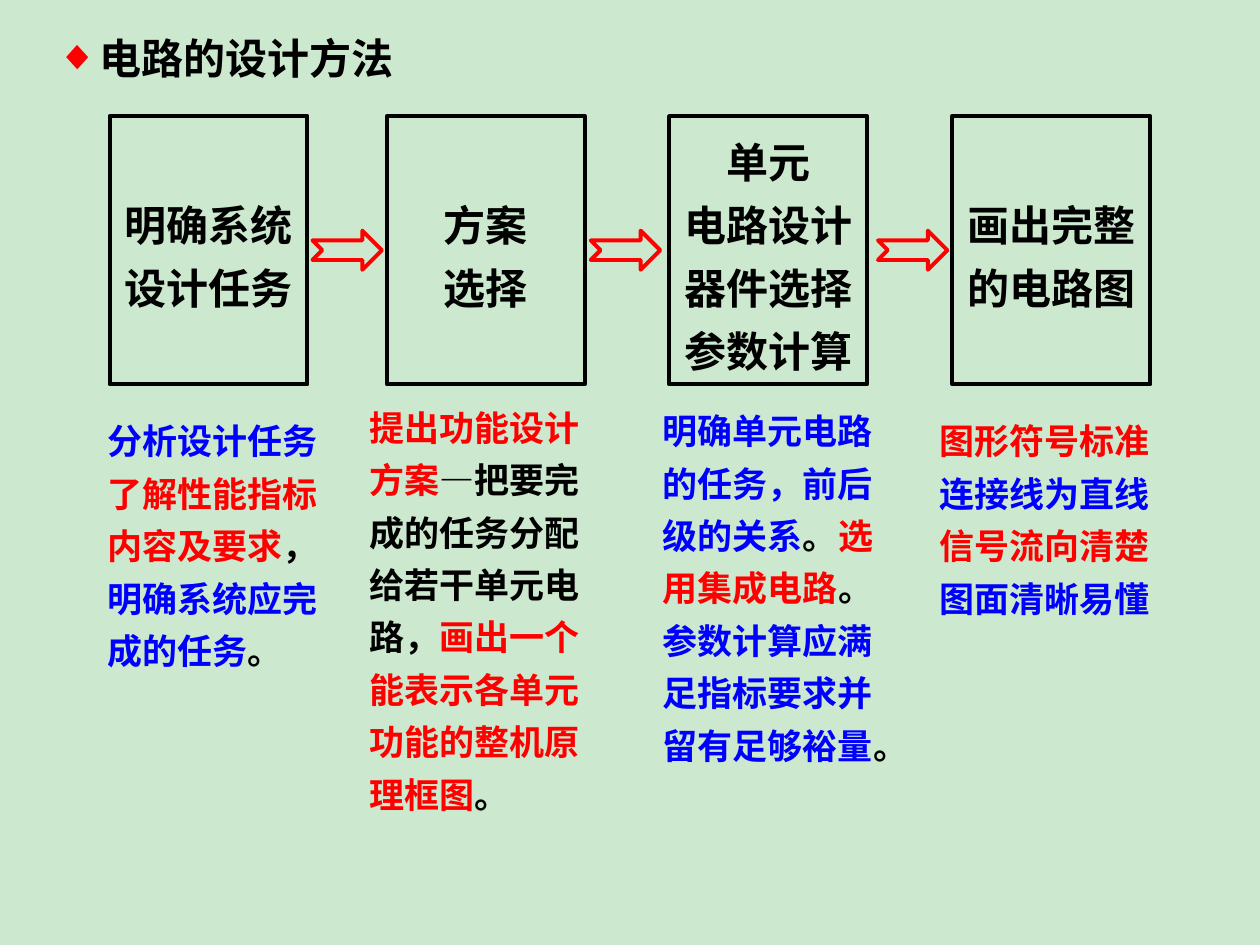
"""Build a slide showing the four steps of circuit design."""
from dataclasses import dataclass

from lxml import etree
from pptx import Presentation
from pptx.dml.color import RGBColor
from pptx.enum import shapes, text
from pptx.oxml import ns
from pptx.util import Cm, Pt

BACKGROUND = RGBColor(0xCC, 0xE8, 0xCE)
BLACK = RGBColor(0, 0, 0)
RED = RGBColor(0xFF, 0, 0)
BLUE = RGBColor(0, 0, 0xFF)
FONT = "Times New Roman"

STEP_TOP, STEP_WIDTH, STEP_HEIGHT = 2.34, 3.99, 5.41
ARROW_WIDTH, ARROW_HEIGHT = 1.4, 0.79
ARROW_TOP = STEP_TOP + (STEP_HEIGHT - ARROW_HEIGHT) / 2
ARROW_LEFTS = (6.3, 11.91, 17.7)

Run = tuple[str, RGBColor]


@dataclass
class Step:
    left: float
    lines: list[str]
    caption_left: float
    caption_top: float
    caption_width: float
    caption_height: float
    caption: list[list[Run]]


STEPS = [
    Step(2.21, ["明确系统设计任务"], 1.91, 8.13, 4.8, 5.59, [[
        ("分析设计任务", BLUE), ("了解性能指标内容及要求", RED), ("，", BLACK),
        ("明确系统应完成的任务", BLUE), ("。", BLACK)]]),
    Step(7.8, ["方案", "选择"], 7.19, 7.85, 5.1, 8.81, [[
        ("提出功能设计方案", RED), ("—把要完成的任务分配给若干单元电路，", BLACK),
        ("画出一个能表示各单元功能的整机原理框图", RED), ("。", BLACK)]]),
    Step(13.49, ["单元", "电路设计器件选择", "参数计算"], 13.11, 7.92, 4.8, 7.75, [[
        ("明确单元电路的任务，前后级的关系", BLUE), ("。", BLACK),
        ("选用集成电路", RED), ("。", BLACK),
        ("参数计算应满足指标要求并留有足够裕量", BLUE), ("。", BLACK)]]),
    Step(19.2, ["画出完整", "的电路图"], 18.69, 8.13, 5.0, 4.52, [
        [("图形符号标准", RED)], [("连接线为直线", BLUE)],
        [("信号流向清楚", RED)], [("图面清晰易懂", BLUE)]]),
]


def add_run(paragraph, words: str, size: float, color: RGBColor) -> None:
    """Append one bold run."""
    run = paragraph.add_run()
    run.text = words
    run.font.name = FONT
    run.font.size = Pt(size)
    run.font.bold = True
    run.font.color.rgb = color


def write(frame, paragraphs: list[list[Run]], size: float, alignment) -> None:
    """Fill a text frame with paragraphs of coloured runs."""
    frame.word_wrap = True
    for index, runs in enumerate(paragraphs):
        paragraph = frame.add_paragraph() if index else frame.paragraphs[0]
        paragraph.alignment = alignment
        paragraph.line_spacing = 1.25
        for words, color in runs:
            add_run(paragraph, words, size, color)


def add_outline(slide, kind, left: float, top: float, width: float,
                height: float, color: RGBColor):
    """Draw an unfilled preset shape."""
    shape = slide.shapes.add_shape(kind, Cm(left), Cm(top), Cm(width), Cm(height))
    shape.shadow.inherit = False
    shape.fill.background()
    shape.line.color.rgb = color
    shape.line.width = Pt(2.25)
    return shape


def add_step(slide, step: Step) -> None:
    """Draw a step's box and the caption below it."""
    box = add_outline(slide, shapes.MSO_SHAPE.RECTANGLE, step.left, STEP_TOP,
                      STEP_WIDTH, STEP_HEIGHT, BLACK)
    box.text_frame.vertical_anchor = text.MSO_ANCHOR.MIDDLE
    write(box.text_frame, [[(line, BLACK)] for line in step.lines], 24,
          text.PP_ALIGN.CENTER)
    caption = slide.shapes.add_textbox(
        Cm(step.caption_left), Cm(step.caption_top),
        Cm(step.caption_width), Cm(step.caption_height))
    write(caption.text_frame, step.caption, 20, text.PP_ALIGN.LEFT)


def set_title(slide, words: str) -> None:
    """Place the title with its red diamond bullet."""
    title = slide.shapes.title
    title.left, title.top, title.width, title.height = Cm(0.89), Cm(0.53), Cm(9), Cm(1.27)
    frame = title.text_frame
    frame.auto_size = text.MSO_AUTO_SIZE.NONE
    frame.vertical_anchor = text.MSO_ANCHOR.MIDDLE
    paragraph = frame.paragraphs[0]
    paragraph.alignment = text.PP_ALIGN.LEFT
    properties = paragraph._p.get_or_add_pPr()
    properties.set("marL", str(Cm(0.86)))
    properties.set("indent", str(-Cm(0.86)))
    bullet_color = etree.SubElement(properties, ns.qn("a:buClr"))
    etree.SubElement(bullet_color, ns.qn("a:srgbClr"), val=str(RED))
    etree.SubElement(properties, ns.qn("a:buFont"), typeface=FONT)
    etree.SubElement(properties, ns.qn("a:buChar"), char="◆")
    add_run(paragraph, words, 24, BLACK)


def main() -> None:
    """Build and save the presentation."""
    presentation = Presentation()
    presentation.slide_width, presentation.slide_height = Cm(25.4), Cm(19.05)
    slide = presentation.slides.add_slide(presentation.slide_layouts[5])
    slide.background.fill.solid()
    slide.background.fill.fore_color.rgb = BACKGROUND
    set_title(slide, "电路的设计方法")
    for step in STEPS:
        add_step(slide, step)
    for left in ARROW_LEFTS:
        add_outline(slide, shapes.MSO_SHAPE.NOTCHED_RIGHT_ARROW, left, ARROW_TOP,
                    ARROW_WIDTH, ARROW_HEIGHT, RED)
    presentation.save("out.pptx")


if __name__ == "__main__":
    main()
